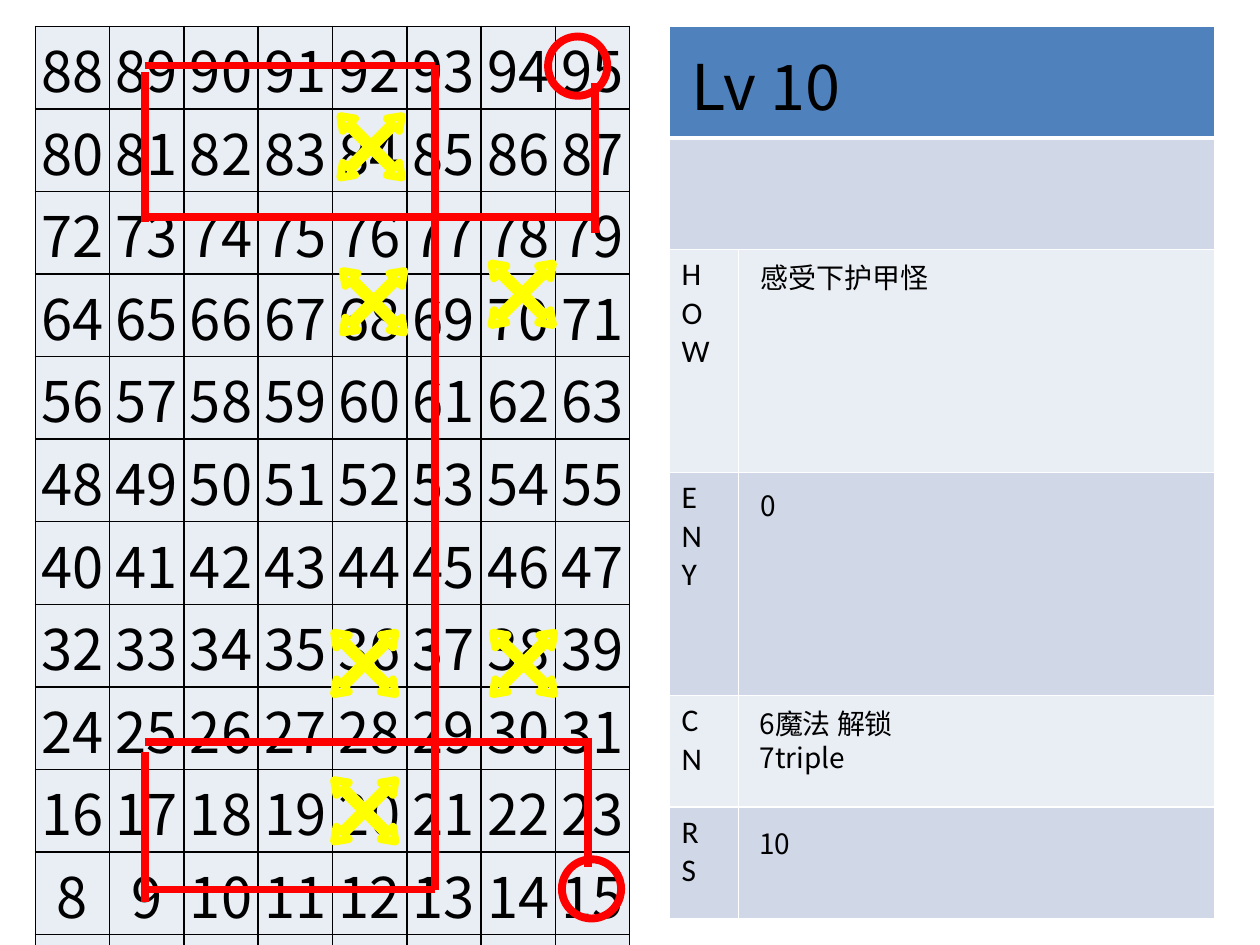
"""Build the level 10 board slide: numbered grid, route, markers and notes table."""
from lxml import etree
from pptx import Presentation
from pptx.dml.color import RGBColor
from pptx.enum import shapes, text
from pptx.oxml.ns import qn
from pptx.util import Inches, Pt

BLACK = RGBColor(0x00, 0x00, 0x00)
WHITE = RGBColor(0xFF, 0xFF, 0xFF)
RED = RGBColor(0xFF, 0x00, 0x00)
YELLOW = RGBColor(0xFF, 0xFF, 0x00)
BLUE = RGBColor(0x4F, 0x81, 0xBD)
PALE = RGBColor(0xE9, 0xED, 0xF4)
MID = RGBColor(0xD0, 0xD8, 0xE8)
SANS, LATIN = "Noto Sans CJK SC", "Calibri"

COLUMNS, ROWS, CELL = 8, 12, 0.59
TOP = 0.21
BOARD_LEFT, NOTES_LEFT = 0.28, 5.31
NOTE_COLUMNS = (0.55, 3.78)
UNIT = CELL * ROWS / 8
NOTE_ROWS = [
    ("", 1, BLUE),
    ("", 1, MID),
    ("H\vO\vW", 2, PALE),
    ("E\vN\vY", 2, MID),
    ("C\vN", 1, PALE),
    ("R\vS", 1, MID),
]
TITLE = ("Lv 10", 5.39, 0.33, 1.44, 0.71)
NOTES = [
    ("感受下护甲怪", 5.94, 2.02, 1.55),
    ("0", 5.94, 3.83, 0.33),
    ("6魔法 解锁\v7triple", 5.93, 5.56, 1.99),
    ("10", 5.93, 6.51, 0.46),
]
ROUTE_LEFT, ROUTE_MIDDLE, ROUTE_RIGHT = 1.15, 3.45, 4.7
ROUTE = [
    (ROUTE_LEFT, 0.52, ROUTE_MIDDLE, 0.52),
    (ROUTE_LEFT, 1.72, ROUTE_RIGHT, 1.72),
    (ROUTE_LEFT, 5.89, ROUTE_RIGHT, 5.89),
    (ROUTE_LEFT, 7.06, ROUTE_MIDDLE, 7.06),
    (ROUTE_LEFT, 0.57, ROUTE_LEFT, 1.76),
    (ROUTE_LEFT, 5.97, ROUTE_LEFT, 7.16),
    (ROUTE_MIDDLE, 0.52, ROUTE_MIDDLE, 7.06),
    (4.72, 0.66, 4.72, 1.85),
    (4.67, 5.86, 4.67, 6.88),
]
RING_SIZE, CROSS_SIZE = 0.47, 0.69
RINGS = [(4.35, 0.29), (4.46, 6.82)]
CROSSES = [(2.6, 0.82), (2.62, 2.05), (3.8, 1.99),
           (2.55, 4.92), (3.81, 4.92), (2.55, 6.09)]


def write(frame, words, size=16, font=SANS, align=text.PP_ALIGN.LEFT):
    frame.text = words
    paragraph = frame.paragraphs[0]
    paragraph.alignment = align
    for run in paragraph.runs:
        run.font.size, run.font.name, run.font.bold = Pt(size), font, False
        run.font.color.rgb = BLACK
        etree.SubElement(run.font._element, qn("a:ea"), typeface=font)


def paint(cell, fill, border, bottom=1):
    cell.fill.solid()
    cell.fill.fore_color.rgb = fill
    properties = cell._tc.get_or_add_tcPr()
    for place, side in enumerate("LRTB"):
        width = bottom if side == "B" else 1
        line = etree.Element(qn(f"a:ln{side}"), w=str(Pt(width)))
        solid = etree.SubElement(line, qn("a:solidFill"))
        etree.SubElement(solid, qn("a:srgbClr"), val=str(border))
        properties.insert(place, line)


def add_grid(slide, left, widths, heights):
    box = [Inches(v) for v in (left, TOP, sum(widths), sum(heights))]
    grid = slide.shapes.add_table(len(heights), len(widths), *box).table
    for column, width in zip(grid.columns, widths):
        column.width = Inches(width)
    for row, height in zip(grid.rows, heights):
        row.height = Inches(height)
    return grid


def add_board(slide):
    board = add_grid(slide, BOARD_LEFT, [CELL] * COLUMNS, [CELL] * ROWS)
    for number in range(COLUMNS * ROWS):
        row, column = divmod(number, COLUMNS)
        cell = board.cell(ROWS - 1 - row, column)
        cell.margin_left = cell.margin_right = cell.margin_top = Inches(0.01)
        cell.margin_bottom = 0
        cell.vertical_anchor = text.MSO_ANCHOR.MIDDLE
        write(cell.text_frame, str(number), size=32, align=text.PP_ALIGN.CENTER)
        paint(cell, PALE, BLACK)


def add_notes(slide):
    notes = add_grid(slide, NOTES_LEFT, NOTE_COLUMNS,
                     [UNIT * units for _, units, _ in NOTE_ROWS])
    for row, (label, _, fill) in enumerate(NOTE_ROWS):
        for column in range(len(NOTE_COLUMNS)):
            paint(notes.cell(row, column), fill, WHITE, bottom=1 if row else 3)
        if label:
            write(notes.cell(row, 0).text_frame, label, size=18, font=LATIN)
        else:
            notes.cell(row, 0).merge(notes.cell(row, 1))
    for words, left, top, width in NOTES:
        box = slide.shapes.add_textbox(*map(Inches, (left, top, width, 0.37)))
        box.text_frame.word_wrap = True
        write(box.text_frame, words)


def place_title(slide):
    words, *place = TITLE
    title = slide.shapes.title
    title.left, title.top, title.width, title.height = map(Inches, place)
    title.text_frame.word_wrap = False
    title.text_frame.vertical_anchor = text.MSO_ANCHOR.TOP
    write(title.text_frame, words, size=36)
    slide.shapes._spTree.append(title._element)


def add_mark(slide, kind, left, top, size, color):
    mark = slide.shapes.add_shape(kind, *map(Inches, (left, top, size, size)))
    mark.shadow.inherit = False
    mark.fill.background()
    mark.line.color.rgb, mark.line.width = color, Pt(4.5)
    return mark


def add_route(slide):
    for ends in ROUTE:
        leg = slide.shapes.add_connector(shapes.MSO_CONNECTOR.STRAIGHT, *map(Inches, ends))
        leg.line.color.rgb, leg.line.width = RED, Pt(4.5)
        etree.SubElement(leg._element.spPr, qn("a:effectLst"))
    for left, top in RINGS:
        add_mark(slide, shapes.MSO_SHAPE.OVAL, left, top, RING_SIZE, RED)
    for left, top in CROSSES:
        cross = add_mark(slide, shapes.MSO_SHAPE.QUAD_ARROW, left, top, CROSS_SIZE, YELLOW)
        cross.rotation = 45
        for place, share in enumerate((0.05, 0.1, 0.14)):
            cross.adjustments[place] = share


def main():
    deck = Presentation()
    deck.slide_width, deck.slide_height = Inches(10), Inches(7.5)
    slide = deck.slides.add_slide(deck.slide_layouts[5])
    add_board(slide)
    add_notes(slide)
    place_title(slide)
    add_route(slide)
    deck.save("out.pptx")


if __name__ == "__main__":
    main()
